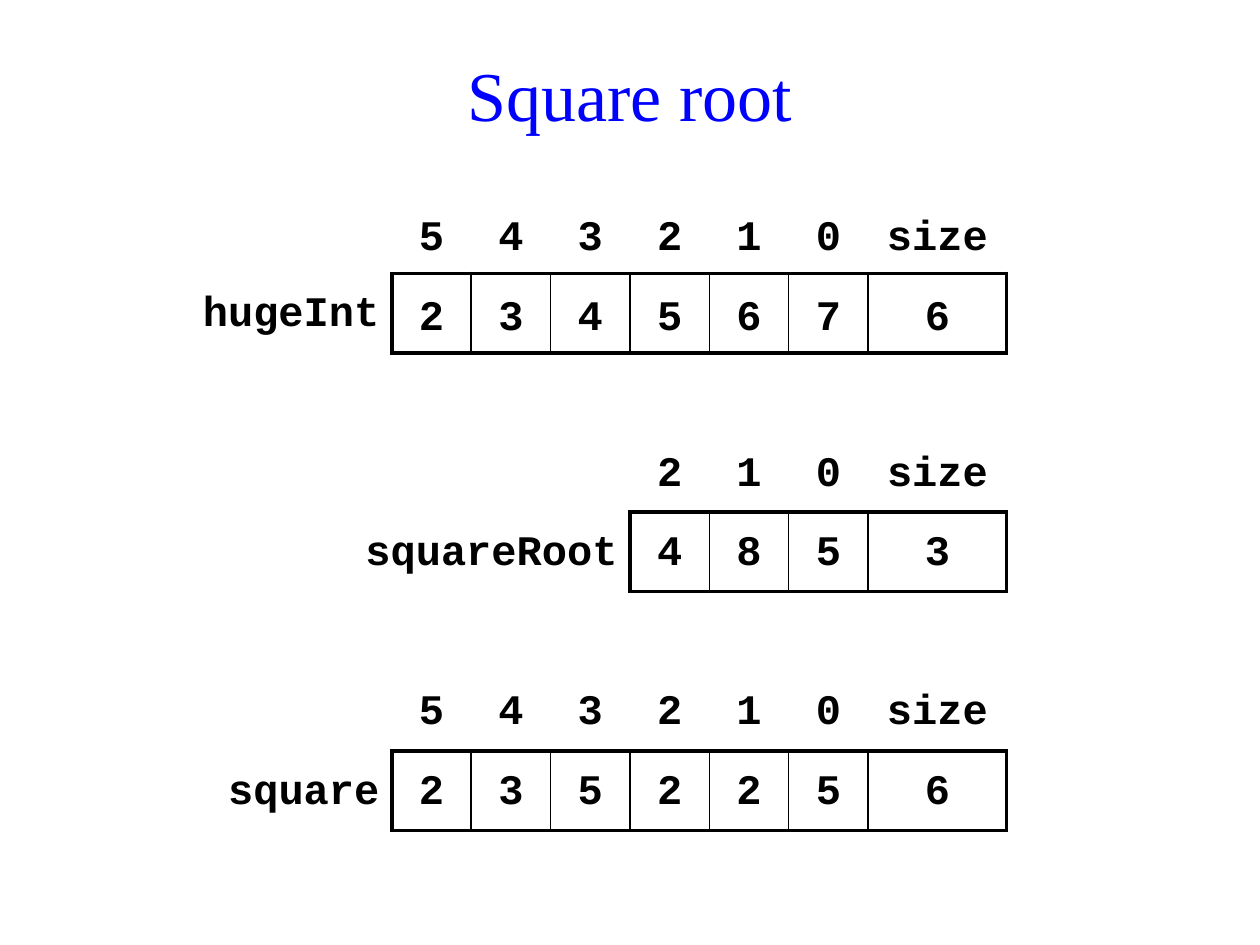
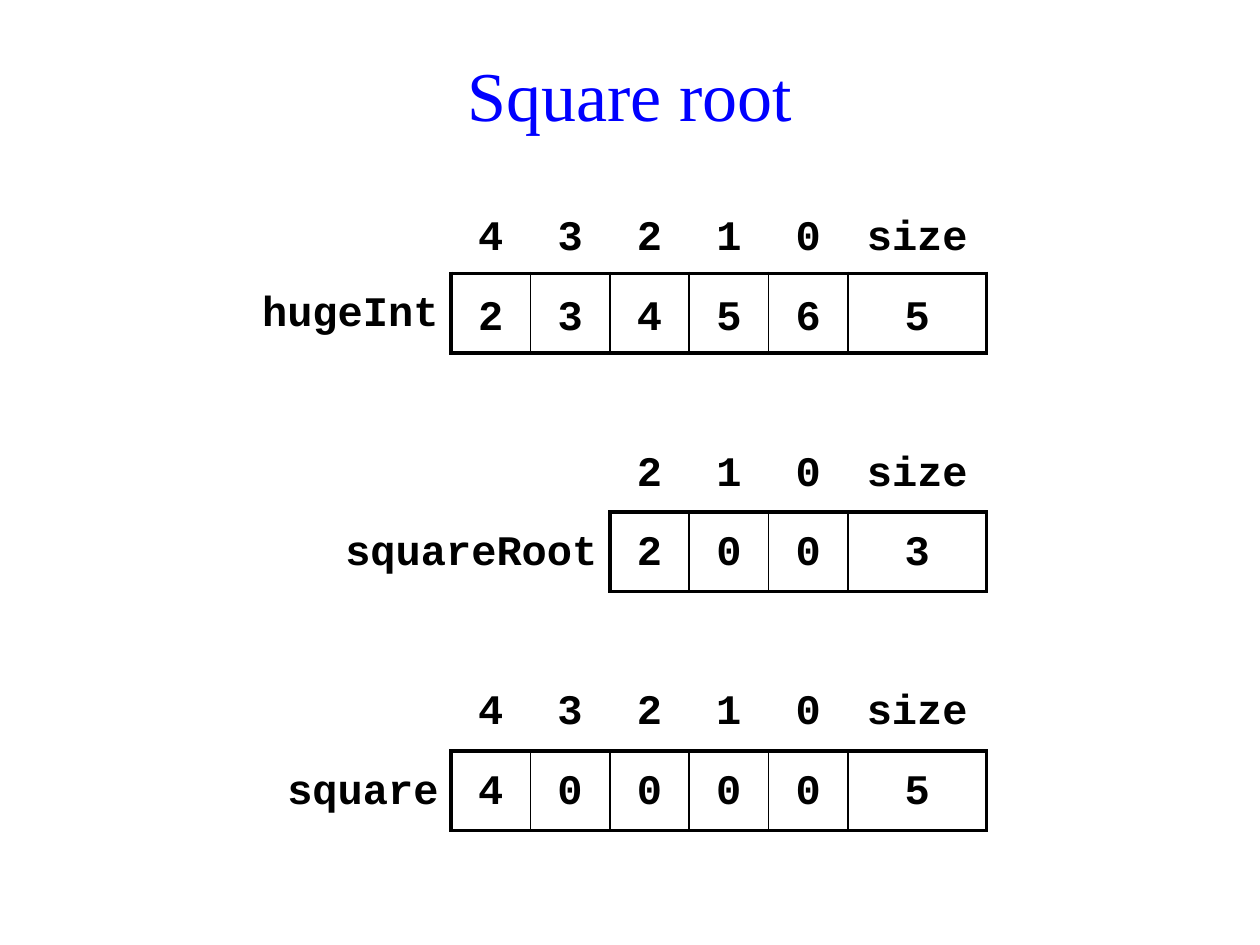
"""Two slides that show digit arrays of a square root computation."""
import pptx
import pptx.dml.color
import pptx.enum.text
import pptx.util
from lxml import etree
from pptx.oxml.ns import qn

Inches = pptx.util.Inches
ALIGN = pptx.enum.text.PP_ALIGN
ANCHOR = pptx.enum.text.MSO_ANCHOR

COLORS = {"title": "0000FF", "ink": "000000", "paper": "FFFFFF"}
SLIDE_W, SLIDE_H = 10, 7.5
CELL = 0.63          # side of a digit cell and height of every row
SIZE_COL = 1.1       # width of the size column
FIRST_TOP, TOP_STEP = 1.54, 3 * CELL + 0.005
FRAME, DIVIDER = 2.25, 1

TITLE_FONT = {"name": "Times New Roman", "size": pptx.util.Pt(40), "bold": False}
CODE_FONT = {"name": "Courier New", "size": pptx.util.Pt(24), "bold": True}

# Array name, width of its label column, anchor of its digits
ARRAYS = [
    ("hugeInt", 1.73, ANCHOR.MIDDLE),
    ("squareRoot", 2.2, ANCHOR.TOP),
    ("square", 1.42, ANCHOR.TOP),
]
# Right edge of the arrays and the digits of each array, per slide
EXAMPLES = [
    (7.99, ["234567", "485", "235225"]),
    (7.83, ["23456", "200", "40000"]),
]


def write(frame, text, font_format, color, align, spacing=None):
    """Put one formatted paragraph into a text frame."""
    paragraph = frame.paragraphs[0]
    paragraph.alignment = align
    paragraph.line_spacing = spacing
    run = paragraph.add_run()
    run.text = text
    for attribute, value in font_format.items():
        setattr(run.font, attribute, value)
    run.font.color.rgb = pptx.dml.color.RGBColor.from_string(COLORS[color])


def add_title(slide, text):
    """Add the centred slide title."""
    left, top, width, height = 0.059, 0.0373, 0.882, 0.124
    title = slide.shapes.add_textbox(
        Inches(left * SLIDE_W), Inches(top * SLIDE_H),
        Inches(width * SLIDE_W), Inches(height * SLIDE_H))
    title.text_frame.word_wrap = True
    title.text_frame.vertical_anchor = ANCHOR.MIDDLE
    write(title.text_frame, text, TITLE_FONT, "title", ALIGN.CENTER)


def set_borders(cell, widths):
    """Draw the borders L, R, T and B; sides without a width stay clear."""
    properties = cell._tc.get_or_add_tcPr()
    for side in "LRTB":
        line = etree.SubElement(properties, qn(f"a:ln{side}"))
        if side in widths:
            line.set("w", str(pptx.util.Pt(widths[side])))
            fill = etree.SubElement(line, qn("a:solidFill"))
            etree.SubElement(fill, qn("a:srgbClr")).set("val", COLORS["ink"])
        else:
            etree.SubElement(line, qn("a:noFill"))


def cell_borders(row, column, last):
    """Return the border widths that frame the value row."""
    if row == 0:
        return {"B": FRAME} if column else {}
    if column == 0:
        return {"R": FRAME}
    return {"L": FRAME if column == 1 else DIVIDER,
            "R": FRAME if column == last else DIVIDER,
            "T": FRAME, "B": FRAME}


def add_array(slide, right, top, name, label_width, anchor, digits):
    """Add an array as a row of indices above a row of digits."""
    count = len(digits)
    indices = [str(index) for index in reversed(range(count))]
    rows = [["", *indices, "size"], [name, *digits, str(count)]]
    widths = [label_width] + [CELL] * count + [SIZE_COL]
    total = sum(widths)
    table = slide.shapes.add_table(
        len(rows), len(widths), Inches(right - total), Inches(top),
        Inches(total), Inches(len(rows) * CELL)).table
    table.first_row = table.horz_banding = False
    for column, width in zip(table.columns, widths):
        column.width = Inches(width)
    for row, texts in enumerate(rows):
        table.rows[row].height = Inches(CELL)
        for column, text in enumerate(texts):
            cell = table.cell(row, column)
            set_borders(cell, cell_borders(row, column, len(texts) - 1))
            cell.fill.background()
            cell.vertical_anchor = anchor if column else ANCHOR.TOP
            if text:
                align = ALIGN.CENTER if column else ALIGN.RIGHT
                write(cell.text_frame, text, CODE_FONT, "ink", align, 1.25)


def add_example(deck, right, numbers):
    """Add a slide with the three arrays of one example."""
    slide = deck.slides.add_slide(deck.slide_layouts[6])
    background = slide.background.fill
    background.solid()
    background.fore_color.rgb = pptx.dml.color.RGBColor.from_string(COLORS["paper"])
    add_title(slide, "Square root")
    for position, (array, digits) in enumerate(zip(ARRAYS, numbers)):
        add_array(slide, right, FIRST_TOP + position * TOP_STEP, *array, digits)


def main():
    """Build and save the deck."""
    deck = pptx.Presentation()
    deck.slide_width, deck.slide_height = Inches(SLIDE_W), Inches(SLIDE_H)
    for right, numbers in EXAMPLES:
        add_example(deck, right, numbers)
    deck.save("out.pptx")


main()
